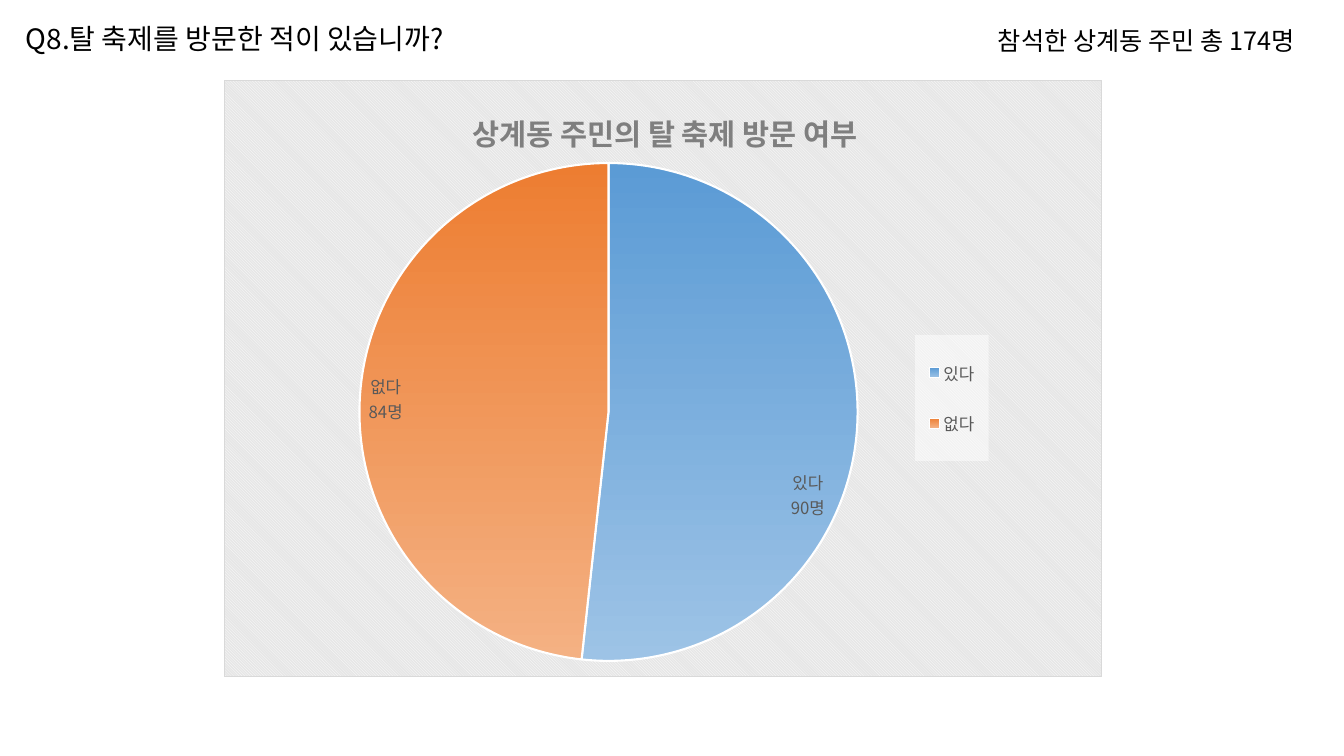
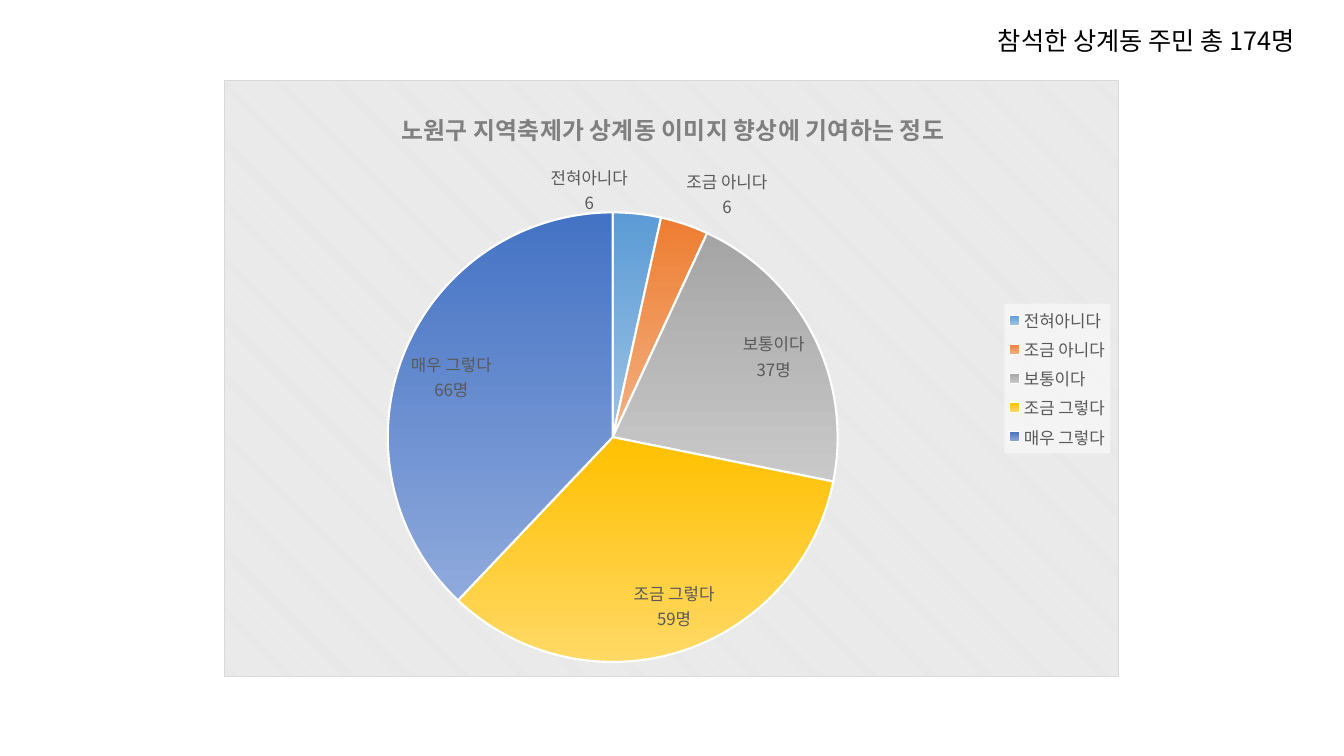
import copy
import dataclasses

import lxml.etree
import pptx
import pptx.chart.data
import pptx.dml.color
import pptx.enum.chart
import pptx.enum.text
import pptx.oxml
import pptx.oxml.ns
import pptx.util

EMU_PER_PX = 9525
NAMESPACES = pptx.oxml.ns.nsdecls("a", "c")


@dataclasses.dataclass(frozen=True)
class Theme:
    font: str = "Noto Sans CJK KR"
    ink: str = "000000"
    title_ink: str = "7F7F7F"
    label_ink: str = "595959"
    white: str = "FFFFFF"
    panel: str = "E6E6E6"
    border: str = "D9D9D9"
    question_size: int = 20
    note_size: int = 18
    label_size: int = 12
    slice_gradients: tuple = (
        ("5B9BD5", "9DC3E6"),
        ("ED7D31", "F4B183"),
        ("A5A5A5", "C9C9C9"),
        ("FFC000", "FFD966"),
        ("4472C4", "8FAADC"),
    )


THEME = Theme()


def px(length):
    return pptx.util.Emu(length * EMU_PER_PX)


def rgb(value):
    return pptx.dml.color.RGBColor.from_string(value)


def element(tag, content=""):
    return pptx.oxml.parse_xml(f"<{tag} {NAMESPACES}>{content}</{tag}>")


def style_font(font, size, color, bold=False):
    """Format a font, for Latin and East Asian text alike."""
    font.name = THEME.font
    font.size = pptx.util.Pt(size)
    font.bold = bold
    font.color.rgb = rgb(color)
    east_asian = lxml.etree.SubElement(font._element, pptx.oxml.ns.qn("a:ea"))
    east_asian.set("typeface", THEME.font)


def write(frame, text, **style):
    span = frame.paragraphs[0].add_run()
    span.text = text
    style_font(span.font, **style)


def manual_layout(chart_box, part_box, inner=False, sized=True):
    """Return a layout for a part, both boxes being in slide px."""
    left, top, width, height = chart_box
    shares = {"x": (part_box[0] - left) / width, "y": (part_box[1] - top) / height}
    if sized:
        shares.update(w=part_box[2] / width, h=part_box[3] / height)
    content = '<c:layoutTarget val="inner"/>' if inner else ""
    content += '<c:xMode val="edge"/><c:yMode val="edge"/>'
    content += "".join(f'<c:{key} val="{share:.4f}"/>' for key, share in shares.items())
    return element("c:layout", f"<c:manualLayout>{content}</c:manualLayout>")


def remove_layout(part):
    for layout in part.findall(pptx.oxml.ns.qn("c:layout")):
        part.remove(layout)


class SurveyDeck:
    def __init__(self):
        self.deck = pptx.Presentation()
        self.deck.slide_width = px(1280)
        self.deck.slide_height = px(720)
        self.page = None

    def add_page(self):
        self.page = self.deck.slides.add_slide(self.deck.slide_layouts[6])

    def add_text(self, text, box, size):
        frame = self.page.shapes.add_textbox(*map(px, box)).text_frame
        frame.word_wrap = False
        frame.auto_size = pptx.enum.text.MSO_AUTO_SIZE.SHAPE_TO_FIT_TEXT
        write(frame, text, size=size, color=THEME.ink)

    def add_respondents(self):
        self.add_text("참석한 상계동 주민 총 174명", (941, 19, 336, 38), THEME.note_size)

    def add_pie(self, title, title_size, answers, number_format, box,
                title_at, pie_box, legend_box, moved_label):
        data = pptx.chart.data.CategoryChartData()
        data.categories = list(answers)
        data.add_series("Series 1", list(answers.values()))
        chart = self.page.shapes.add_chart(
            pptx.enum.chart.XL_CHART_TYPE.PIE, *map(px, box), data
        ).chart
        style_font(chart.font, 10, THEME.ink)
        self.style_panel(chart)
        self.add_chart_title(chart, title, title_size, box, title_at)
        self.add_legend(chart, box, legend_box)
        plot_area = chart._chartSpace.chart.plotArea
        remove_layout(plot_area)
        plot_area.insert(0, manual_layout(box, pie_box, inner=True))
        plot = chart.plots[0]
        plot.vary_by_categories = True
        self.color_slices(plot.series[0], len(answers))
        self.label_slices(plot.series[0], number_format, box, *moved_label)

    def style_panel(self, chart):
        chart._chartSpace.chart.addnext(element(
            "c:spPr",
            '<a:pattFill prst="dkDnDiag">'
            f'<a:fgClr><a:srgbClr val="{THEME.white}"/></a:fgClr>'
            f'<a:bgClr><a:srgbClr val="{THEME.panel}"/></a:bgClr></a:pattFill>'
            f'<a:ln w="{EMU_PER_PX}"><a:solidFill><a:srgbClr val="{THEME.border}"/>'
            "</a:solidFill></a:ln>",
        ))

    def add_chart_title(self, chart, title, size, box, title_at):
        chart.has_title = True
        write(chart.chart_title.text_frame, title,
              size=size, color=THEME.title_ink, bold=True)
        part = chart.chart_title._element
        remove_layout(part)
        part.find(pptx.oxml.ns.qn("c:tx")).addnext(
            manual_layout(box, title_at, sized=False))

    def add_legend(self, chart, box, legend_box):
        chart.has_legend = True
        legend = chart.legend
        legend.position = pptx.enum.chart.XL_LEGEND_POSITION.RIGHT
        legend.include_in_layout = False
        style_font(legend.font, THEME.label_size, THEME.label_ink)
        part = legend._element
        remove_layout(part)
        part.find(pptx.oxml.ns.qn("c:legendPos")).addnext(manual_layout(box, legend_box))
        part.find(pptx.oxml.ns.qn("c:overlay")).addnext(element(
            "c:spPr",
            f'<a:solidFill><a:srgbClr val="{THEME.white}"><a:alpha val="50000"/>'
            "</a:srgbClr></a:solidFill>",
        ))

    def color_slices(self, series, count):
        for index, colors in enumerate(THEME.slice_gradients[:count]):
            look = series.points[index].format
            look.fill.gradient()
            look.fill.gradient_angle = 270
            for stop, color in zip(look.fill.gradient_stops, colors):
                stop.color.rgb = rgb(color)
            look.line.color.rgb = rgb(THEME.white)
            look.line.width = pptx.util.Pt(1.5)

    def label_slices(self, series, number_format, box, index, shift_x, shift_y):
        """Show category over value, and shift one label by a distance in px."""
        labels = series.data_labels
        labels.show_category_name = True
        labels.show_value = True
        labels.number_format = number_format
        labels.number_format_is_linked = False
        labels.position = pptx.enum.chart.XL_LABEL_POSITION.BEST_FIT
        style_font(labels.font, THEME.label_size, THEME.label_ink)
        part = labels._element
        for leader in part.findall(pptx.oxml.ns.qn("c:showLeaderLines")):
            leader.set("val", "0")
        shows = [child for child in part
                 if "}show" in child.tag and "LeaderLines" not in child.tag]
        separator = element("c:separator")
        separator.text = "\n"
        shows[-1].addnext(separator)
        moved = element(
            "c:dLbl",
            f'<c:idx val="{index}"/><c:layout><c:manualLayout>'
            f'<c:x val="{shift_x / box[2]:.4f}"/><c:y val="{shift_y / box[3]:.4f}"/>'
            "</c:manualLayout></c:layout>",
        )
        for child in part:
            if "LeaderLines" not in child.tag:
                moved.append(copy.deepcopy(child))
        part.insert(0, moved)


def main():
    survey = SurveyDeck()

    survey.add_page()
    survey.add_pie(
        "상계동 주민의 탈 축제 방문 여부", 21,
        {"있다": 90, "없다": 84},
        number_format='0"명"',
        box=(213, 76, 837, 569),
        title_at=(445, 98),
        pie_box=(342, 155, 475, 475),
        legend_box=(872, 319, 70, 120),
        moved_label=(0, -69, 66),
    )
    survey.add_text("Q8.탈 축제를 방문한 적이 있습니까?", (15, 16, 461, 42),
                    THEME.question_size)
    survey.add_respondents()

    survey.add_page()
    survey.add_pie(
        "노원구 지역축제가 상계동 이미지 향상에 기여하는 정도", 17,
        {"전혀아니다": 6, "조금 아니다": 6, "보통이다": 37,
         "조금 그렇다": 59, "매우 그렇다": 66},
        number_format='[>6]0"명";0',
        box=(213, 76, 853, 569),
        title_at=(378, 99),
        pie_box=(369, 202, 429, 429),
        legend_box=(957, 289, 101, 143),
        moved_label=(0, -83, 7),
    )
    survey.add_respondents()

    survey.deck.save("out.pptx")


if __name__ == "__main__":
    main()
